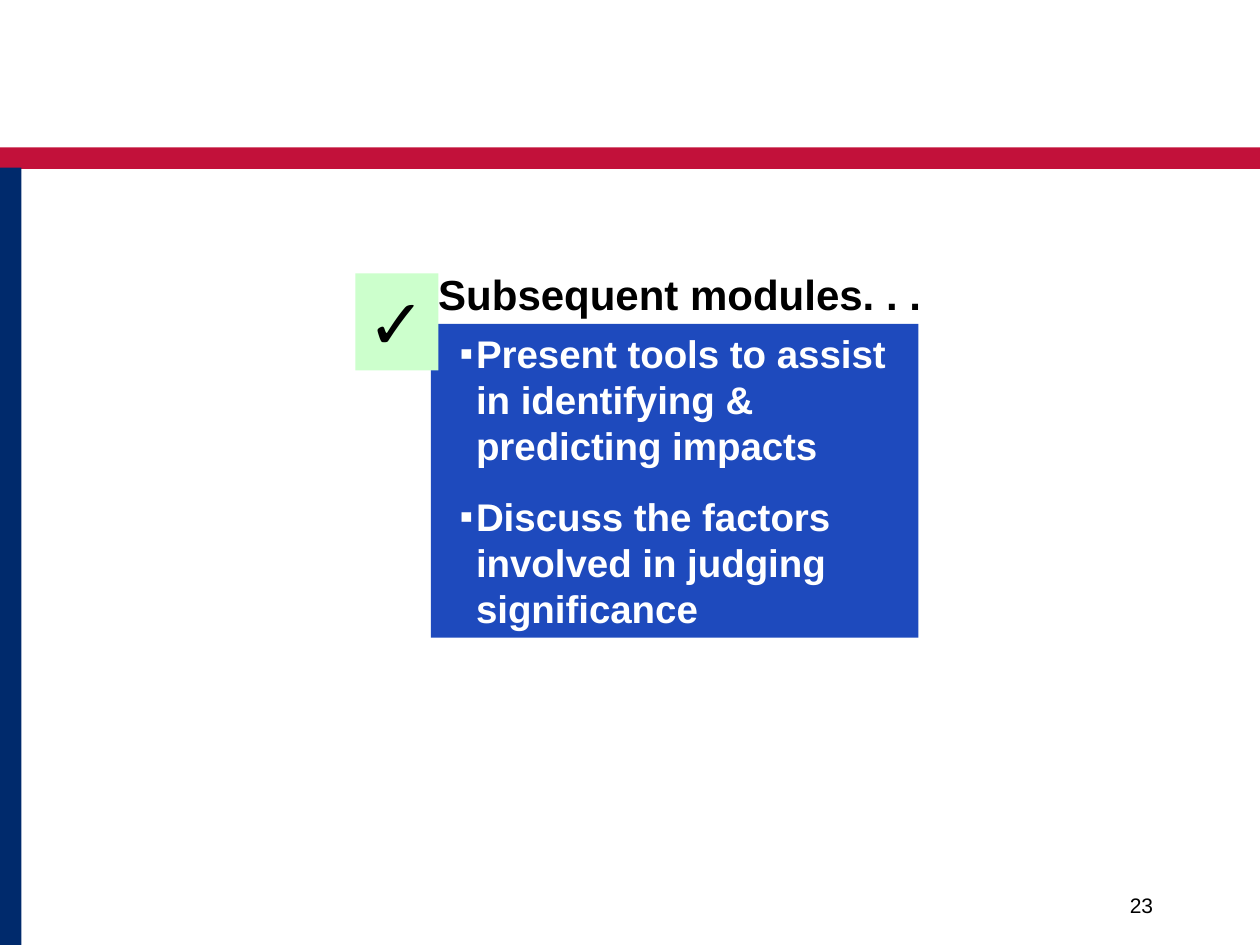
from lxml import etree
from pptx import Presentation
from pptx.dml.color import RGBColor
from pptx.enum.shapes import MSO_SHAPE
from pptx.enum.text import MSO_ANCHOR, PP_ALIGN
from pptx.oxml.ns import qn
from pptx.util import Inches, Pt

RECTANGLE = MSO_SHAPE.RECTANGLE
TOP, BOTTOM = MSO_ANCHOR.TOP, MSO_ANCHOR.BOTTOM
LEFT, RIGHT = PP_ALIGN.LEFT, PP_ALIGN.RIGHT

FONT = "Arial"
RED, NAVY, BLUE, GREEN = "C2113A", "002A6C", "1E4ABD", "CCFFCC"
BLACK, WHITE = "000000", "FFFFFF"
GOALS = [
    "Present tools to assist in identifying & predicting impacts",
    "Discuss the factors involved in judging significance",
]


def color(hex_value):
    return RGBColor.from_string(hex_value)


def add_block(page, bounds, fill):
    box = page.shapes.add_shape(RECTANGLE, *map(Inches, bounds))
    box.shadow.inherit = False
    box.fill.solid()
    box.fill.fore_color.rgb = color(fill)
    box.line.fill.background()
    return box


def add_text_box(page, bounds):
    return page.shapes.add_textbox(*map(Inches, bounds))


def set_indent(para, margin, first_line=0.0, bullet=None):
    properties = para._p.get_or_add_pPr()
    properties.set("marL", str(Inches(margin)))
    properties.set("indent", str(Inches(first_line)))
    if bullet:
        bullet_color = etree.SubElement(properties, qn("a:buClr"))
        etree.SubElement(bullet_color, qn("a:srgbClr")).set("val", WHITE)
        etree.SubElement(properties, qn("a:buFont")).set("typeface", FONT)
        etree.SubElement(properties, qn("a:buChar")).set("char", bullet)


def write(box, lines, size, text_color, bold=True, frame_format=None,
          alignment=LEFT, indent=None, gap=0):
    frame = box.text_frame
    frame_values = {"word_wrap": True, "vertical_anchor": TOP, **(frame_format or {})}
    for name, value in frame_values.items():
        setattr(frame, name, value)
    font_values = {"name": FONT, "size": Pt(size), "bold": bold}
    for index, line in enumerate(lines):
        para = frame.add_paragraph() if index else frame.paragraphs[0]
        if indent:
            set_indent(para, **indent)
        para.alignment = alignment
        if index:
            para.space_before = Pt(gap)
        span = para.add_run()
        span.text = line
        for name, value in font_values.items():
            setattr(span.font, name, value)
        span.font.color.rgb = color(text_color)


def main():
    deck = Presentation()
    deck.slide_width, deck.slide_height = Inches(10), Inches(7.5)
    page = deck.slides.add_slide(deck.slide_layouts[6])

    # Frame bars
    add_block(page, (0, 1.17, 10, 0.17), RED)
    add_block(page, (0, 1.33, 0.17, 6.17), NAVY)

    # Slide number
    number = add_text_box(page, (7.17, 6.83, 2.08, 0.5))
    write(number, ["23"], 12, BLACK, bold=False,
          frame_format={"vertical_anchor": BOTTOM}, alignment=RIGHT)

    # Goals panel
    panel = add_block(page, (3.42, 2.57, 3.87, 2.49), BLUE)
    write(panel, GOALS, 22, WHITE, gap=13.8,
          indent={"margin": 0.26, "first_line": -0.13, "bullet": "▪"})

    # Check mark
    check = add_block(page, (2.82, 2.17, 0.66, 0.77), GREEN)
    write(check, ["✓"], 40, BLACK, frame_format={"word_wrap": False})

    # Heading
    heading = add_text_box(page, (3, 2.08, 5.33, 0.67))
    write(heading, ["Subsequent modules. . ."], 24, BLACK, indent={"margin": 0.38})

    deck.save("out.pptx")


if __name__ == "__main__":
    main()
